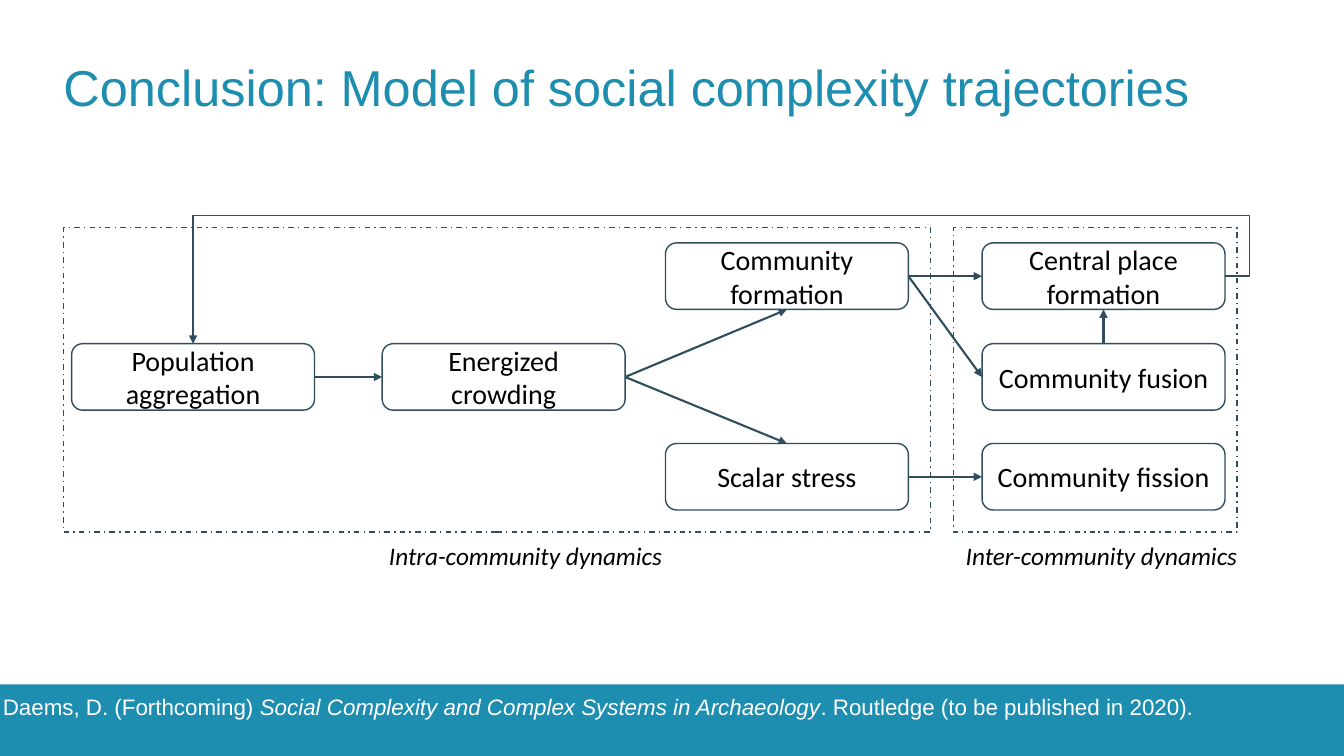
"""Build the slide on the model of social complexity trajectories."""
from lxml import etree
from pptx import Presentation
from pptx.dml.color import RGBColor
from pptx.enum.dml import MSO_LINE
from pptx.enum.shapes import MSO_CONNECTOR as CONNECTOR, MSO_SHAPE as SHAPE
from pptx.enum.text import MSO_ANCHOR as ANCHOR, MSO_AUTO_SIZE as AUTO_SIZE, PP_ALIGN as ALIGN
from pptx.oxml.ns import qn
from pptx.util import Inches, Pt

TEAL = RGBColor(0x1D, 0x8D, 0xB0)
SLATE = RGBColor(0x2F, 0x4D, 0x5D)
BLACK = RGBColor(0, 0, 0)
WHITE = RGBColor(0xFF, 0xFF, 0xFF)
TOP, LEFT, BOTTOM, RIGHT = 0, 1, 2, 3
BOX_WIDTH, BOX_HEIGHT = 2.41, 0.66
UPPER, MIDDLE, LOWER = 2.41, 3.41, 4.4

prs = Presentation()
prs.slide_width, prs.slide_height = Inches(13.33), Inches(7.5)
slide = prs.slides.add_slide(prs.slide_layouts[6])
shapes = slide.shapes


def add_block(kind, left, top, width, height):
    """Add a preset shape without shadow, fill or default line colour."""
    block = shapes.add_shape(kind, Inches(left), Inches(top), Inches(width), Inches(height))
    block.shadow.inherit = False
    block.fill.background()
    block.line.color.rgb = SLATE
    block.line.width = Pt(1)
    return block


def add_text(left, top, width, height, parts, font, size, color):
    """Add an unwrapped text box from (text, italic) parts."""
    box = shapes.add_textbox(Inches(left), Inches(top), Inches(width), Inches(height))
    frame = box.text_frame
    frame.word_wrap = False
    frame.auto_size = AUTO_SIZE.SHAPE_TO_FIT_TEXT
    for text, italic in parts:
        run = frame.paragraphs[0].add_run()
        run.text = text
        run.font.name, run.font.size, run.font.italic = font, Pt(size), italic
        run.font.color.rgb = color
    return frame


footer = add_block(SHAPE.RECTANGLE, 0, 6.79, 13.33, 0.71)
footer.fill.solid()
footer.fill.fore_color.rgb = TEAL
footer.line.fill.background()

for left, width in [(0.63, 8.6), (9.46, 2.81)]:
    dynamics_frame = add_block(SHAPE.RECTANGLE, left, 2.26, width, 3.02)
    dynamics_frame.line.dash_style = MSO_LINE.DASH_DOT

stages = {}
for name, left, top in [
    ("Population aggregation", 0.71, MIDDLE),
    ("Energized crowding", 3.79, MIDDLE),
    ("Scalar stress", 6.6, LOWER),
    ("Community formation", 6.6, UPPER),
    ("Community fission", 9.74, LOWER),
    ("Central place formation", 9.74, UPPER),
    ("Community fusion", 9.74, MIDDLE),
]:
    stage = add_block(SHAPE.ROUNDED_RECTANGLE, left, top, BOX_WIDTH, BOX_HEIGHT)
    stage.text_frame.text = name
    stage.text_frame.word_wrap = True
    stage.text_frame.vertical_anchor = ANCHOR.MIDDLE
    label = stage.text_frame.paragraphs[0]
    label.alignment = ALIGN.CENTER
    font = label.runs[0].font
    font.name, font.size = "Calibri", Pt(20)
    font.color.rgb = BLACK
    stages[name] = stage

for source, source_side, target, target_side in [
    ("Population aggregation", RIGHT, "Energized crowding", LEFT),
    ("Energized crowding", RIGHT, "Scalar stress", TOP),
    ("Energized crowding", RIGHT, "Community formation", BOTTOM),
    ("Scalar stress", RIGHT, "Community fission", LEFT),
    ("Community formation", RIGHT, "Central place formation", LEFT),
    ("Community formation", RIGHT, "Community fusion", LEFT),
    ("Community fusion", TOP, "Central place formation", BOTTOM),
    ("Central place formation", RIGHT, "Population aggregation", TOP),
]:
    feedback = target == "Population aggregation"
    kind = CONNECTOR.ELBOW if feedback else CONNECTOR.STRAIGHT
    arrow = shapes.add_connector(kind, 0, 0, 0, 0)
    arrow.begin_connect(stages[source], source_side)
    arrow.end_connect(stages[target], target_side)
    arrow.line.color.rgb = SLATE
    arrow.line.width = Pt(1 if feedback else 1.5)
    etree.SubElement(arrow.line._get_or_add_ln(), qn("a:tailEnd"), type="triangle")
    properties = arrow._element.spPr
    etree.SubElement(properties, qn("a:effectLst"))
    if feedback:
        geometry = properties.find(qn("a:prstGeom"))
        geometry.set("prst", "bentConnector4")
        adjustments = geometry.find(qn("a:avLst"))
        for guide, value in [("adj1", -2400), ("adj2", -89600)]:
            etree.SubElement(adjustments, qn("a:gd"), name=guide, fmla=f"val {value}")

add_text(3.76, 5.31, 2.94, 0.4, [("Intra-community dynamics", True)], "Calibri", 18, BLACK)
add_text(9.48, 5.31, 2.92, 0.4, [("Inter-community dynamics", True)], "Calibri", 18, BLACK)

title = add_text(0.63, 0.23, 12.07, 1.26,
                 [("Conclusion: Model of social complexity trajectories", False)], "Arial", 36, TEAL)
title.word_wrap = True
title.auto_size = AUTO_SIZE.NONE
title.vertical_anchor = ANCHOR.MIDDLE
title.margin_left = title.margin_right = title.margin_top = title.margin_bottom = 0

add_text(-0.07, 6.83, 12.07, 0.37, [
    ("Daems, D. (Forthcoming) ", False),
    ("Social Complexity and Complex Systems in Archaeology", True),
    (". Routledge (to be published in 2020).", False),
], "Arial", 16, WHITE)

prs.save("out.pptx")
